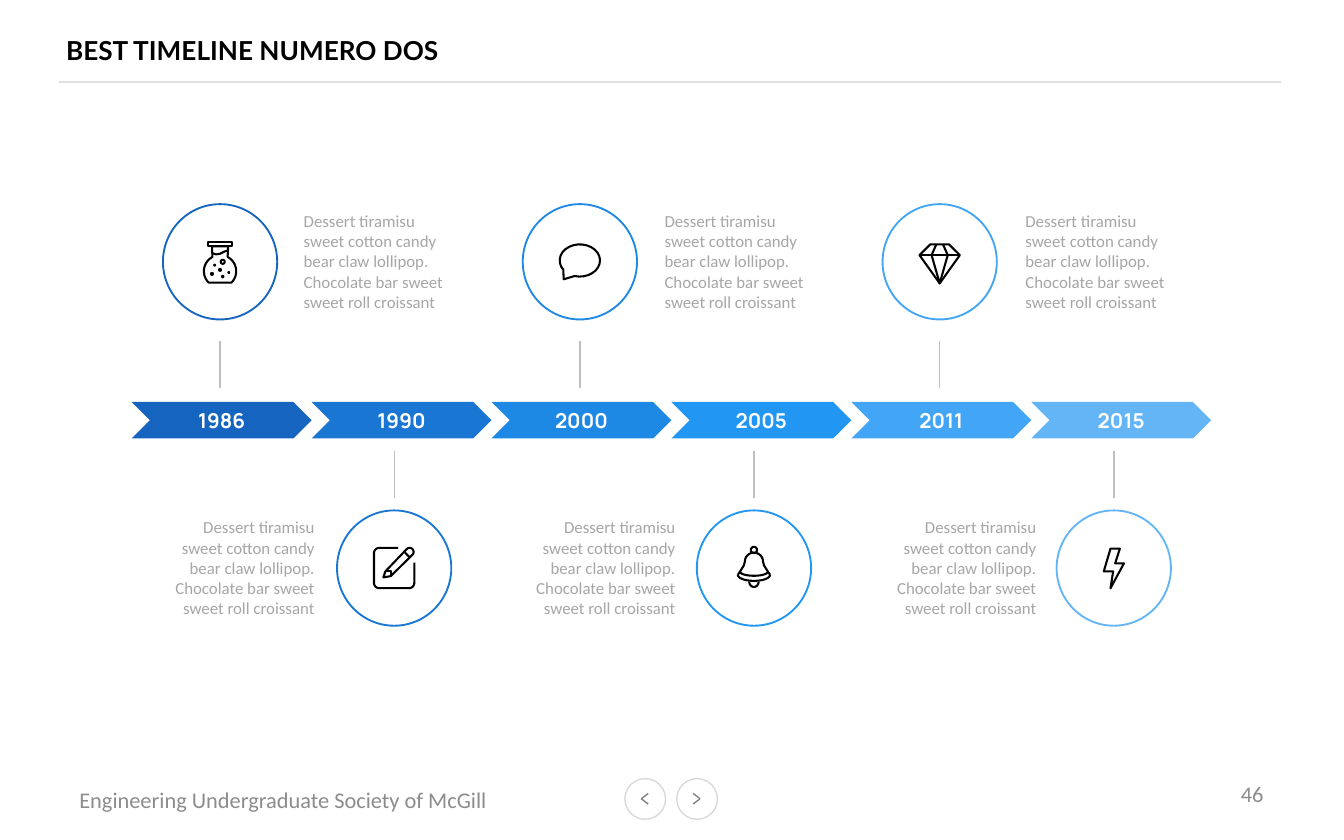
from math import cos, radians, sin

from lxml import etree
from pptx import Presentation
from pptx.dml.color import RGBColor
from pptx.enum.shapes import MSO_CONNECTOR, MSO_SHAPE
from pptx.enum.text import MSO_ANCHOR, MSO_AUTO_SIZE, PP_ALIGN
from pptx.oxml.ns import qn
from pptx.util import Cm, Pt

STRAIGHT = MSO_CONNECTOR.STRAIGHT
CHEVRON, OVAL = MSO_SHAPE.CHEVRON, MSO_SHAPE.OVAL
TOP, MIDDLE = MSO_ANCHOR.TOP, MSO_ANCHOR.MIDDLE
LEFT, CENTER, RIGHT = PP_ALIGN.LEFT, PP_ALIGN.CENTER, PP_ALIGN.RIGHT
GROW = MSO_AUTO_SIZE.SHAPE_TO_FIT_TEXT

COLORS = {
    "white": "FFFFFF", "title": "000000", "icon": "000000", "rule": "E0E0E0",
    "footer": "8C8C8C", "body": "A6A6A6", "stem": "BFBFBF",
    "button": "D9D9D9", "arrow": "808080",
}


def arc(x, y, radius_x, radius_y, start=0, end=360):
    """Points along an ellipse; angles in degrees, clockwise from the right."""
    angles = [radians(start + (end - start) * i / 24) for i in range(25)]
    return [(x + radius_x * cos(a), y + radius_y * sin(a)) for a in angles]


def dot(x, y, radius):
    return True, arc(x, y, radius, radius)


# Content
TITLE = "BEST TIMELINE NUMERO DOS"
FOOTER = "Engineering Undergraduate Society of McGill"
PAGE = "46"
BODY = ("Dessert tiramisu sweet cotton candy bear claw lollipop. "
        "Chocolate bar sweet sweet roll croissant")
MILESTONES = [
    ("1986", "1565C0", "flask"), ("1990", "1976D2", "pencil"),
    ("2000", "1E88E5", "bubble"), ("2005", "2196F3", "bell"),
    ("2011", "42A5F5", "diamond"), ("2015", "64B5F6", "bolt"),
]

# Icon contours: (closed, points) around the circle's centre, in icon units
ICON_UNIT = 0.0254
ICONS = {
    "flask": [
        (True, [(-9, -14.5), (9, -14.5), (9, -11.5), (-9, -11.5)]),
        (True, [(-6, -11.5)] + arc(0, 7, 12, 12, 242, 135)
         + arc(0, 7, 12, 12, 45, -62) + [(6, -11.5)]),
        (False, [(-6, -6.5), (-3, -5.5), (0, -6), (3, -7.5), (6, -8.5)]),
        dot(2, 0, 1.5), dot(-6, 9, 0.7), dot(0, 6, 0.7), dot(2, 11, 0.5),
        dot(6.5, 8, 0.3), dot(-4, 2.5, 0.3),
    ],
    "pencil": [
        (False, [(3, -15)] + arc(-11, -11, 4, 4, 270, 180)
         + arc(-11, 11, 4, 4, 180, 90) + arc(11, 11, 4, 4, 90, 0) + [(15, -4)]),
        (True, [(-8, 7), (-6.5, 2.5)] + arc(11.5, -12, 3, 3, 225, 405)
         + [(-2.5, 6)]),
        (False, [(-6.5, 2.5), (-2.5, 2.5), (-2.5, 6)]),
        (False, [(7.5, -12.2), (11.5, -8)]),
    ],
    "bubble": [(True, arc(0, -1, 15, 12, 145, 465) + [(-12, 13)])],
    "bell": [
        dot(0, -13.5, 2.3),
        (False, [(-12, 5), (-10, 2), (-7.5, -2)]
         + arc(0, -5, 6.7, 6.5, 180, 360) + [(7.5, -2), (10, 2), (12, 5)]),
        (False, arc(0, 2.5, 10.5, 3.2, 180, 0)),
        (False, arc(0, 5, 12, 4.5, 180, 0)),
        (False, arc(0, 10, 3.5, 4, 180, 0)),
    ],
    "diamond": [
        (True, [(-15, -5), (-7, -13), (7, -13), (15, -5), (0, 16)]),
        (False, [(-15, -5), (15, -5)]),
        (False, [(-2.5, -13), (-6, -5), (0, 16), (6, -5), (2.5, -13)]),
    ],
    "bolt": [(True, [(-2.5, -14.5), (4.5, -14.5), (1, -3.5), (7.5, -3.5),
                     (-2.5, 15), (-0.5, 2.5), (-7.5, 2.5)])],
}

# Layout in centimetres
CHEVRON_LEFT, CHEVRON_TOP, CHEVRON_WIDTH, CHEVRON_HEIGHT = 2.49, 7.6, 3.4, 0.69
CIRCLE_WIDTH, CIRCLE_HEIGHT = 2.16, 2.18
BODY_WIDTH, BODY_STEP = 3.4, 6.82
SIDES = [
    {"center": 4.16, "top": 3.86, "stem": (6.45, 7.34), "body": 5.49, "align": LEFT},
    {"center": 7.45, "top": 9.65, "stem": (8.53, 9.42), "body": 2.79, "align": RIGHT},
]


def rgb(color):
    return RGBColor.from_string(COLORS.get(color, color))


def write_text(shape, text, size=12, font="Calibri", color="footer", bold=False,
               align=LEFT, anchor=MIDDLE, margin=None, grow=False):
    frame = shape.text_frame
    frame.word_wrap = True
    frame.vertical_anchor = anchor
    if grow:
        frame.auto_size = GROW
    if margin is not None:
        frame.margin_left = frame.margin_right = Cm(margin)
        frame.margin_top = frame.margin_bottom = Cm(margin)
    paragraph = frame.paragraphs[0]
    paragraph.alignment = align
    run = paragraph.add_run()
    run.text = text
    run.font.size, run.font.name, run.font.bold = Pt(size), font, bold
    run.font.color.rgb = rgb(color)


def add_text(slide, text, box, **style):
    write_text(slide.shapes.add_textbox(*map(Cm, box)), text, **style)


def paint(shape, fill=None, line=None, width=1):
    shape.shadow.inherit = False
    if fill:
        shape.fill.solid()
        shape.fill.fore_color.rgb = rgb(fill)
    else:
        shape.fill.background()
    if line:
        shape.line.color.rgb = rgb(line)
        shape.line.width = Pt(width)
    else:
        shape.line.fill.background()


def add_shape(slide, kind, box, **style):
    shape = slide.shapes.add_shape(kind, *map(Cm, box))
    paint(shape, **style)
    return shape


def add_line(slide, start, end, color):
    line = slide.shapes.add_connector(STRAIGHT, *map(Cm, start + end))
    line.line.color.rgb = rgb(color)
    line.line.width = Pt(0.75)
    etree.SubElement(line._element.spPr, qn("a:effectLst"))


def add_icon(slide, contours, center_x, center_y):
    builder = None
    for closed, points in contours:
        placed = [(Cm(center_x + x * ICON_UNIT), Cm(center_y + y * ICON_UNIT))
                  for x, y in points]
        if builder is None:
            builder = slide.shapes.build_freeform(*placed[0])
        else:
            builder.move_to(*placed[0])
        builder.add_line_segments(placed[1:], close=closed)
    paint(builder.convert_to_shape(), line="icon", width=1.1)


presentation = Presentation()
presentation.slide_width, presentation.slide_height = Cm(25.4), Cm(15.88)
slide = presentation.slides.add_slide(presentation.slide_layouts[6])

# Header
add_line(slide, (24.2, 1.55), (1.12, 1.55), "rule")
add_text(slide, TITLE, (1.25, 0.41, 16.94, 1.09), size=14, font="Lato",
         color="title", bold=True, margin=0)

# Footer with the two navigation buttons
add_text(slide, FOOTER, (1.25, 14.73, 8.61, 0.76))
add_text(slide, PAGE, (18.21, 14.58, 5.92, 0.84), align=RIGHT)
for left, tip, tail in ((11.81, 12.12, 12.25), (12.79, 13.23, 13.1)):
    add_shape(slide, OVAL, (left, 14.72, 0.77, 0.77),
              fill="white", line="button", width=0.75)
    for tail_y in (15, 15.2):
        add_line(slide, (tip, 15.1), (tail, tail_y), "arrow")

# Timeline: milestones alternate above and below the chevrons
for index, (year, color, icon) in enumerate(MILESTONES):
    pair, side_index = divmod(index, 2)
    side = SIDES[side_index]
    chevron = add_shape(slide, CHEVRON, (CHEVRON_LEFT + index * CHEVRON_WIDTH, CHEVRON_TOP,
                                         CHEVRON_WIDTH, CHEVRON_HEIGHT), fill=color)
    write_text(chevron, year, size=11, font="Manrope", color="white",
               bold=True, align=CENTER)
    center = side["center"] + pair * 2 * CHEVRON_WIDTH
    add_shape(slide, OVAL, (center - CIRCLE_WIDTH / 2, side["top"],
                            CIRCLE_WIDTH, CIRCLE_HEIGHT), line=color)
    add_icon(slide, ICONS[icon], center, side["top"] + CIRCLE_HEIGHT / 2)
    stem_top, stem_bottom = side["stem"]
    add_line(slide, (center, stem_bottom), (center, stem_top), "stem")
    add_text(slide, BODY, (side["body"] + pair * BODY_STEP, side["top"],
                           BODY_WIDTH, CIRCLE_HEIGHT),
             size=9, color="body", align=side["align"], anchor=TOP, grow=True)

presentation.save("out.pptx")
